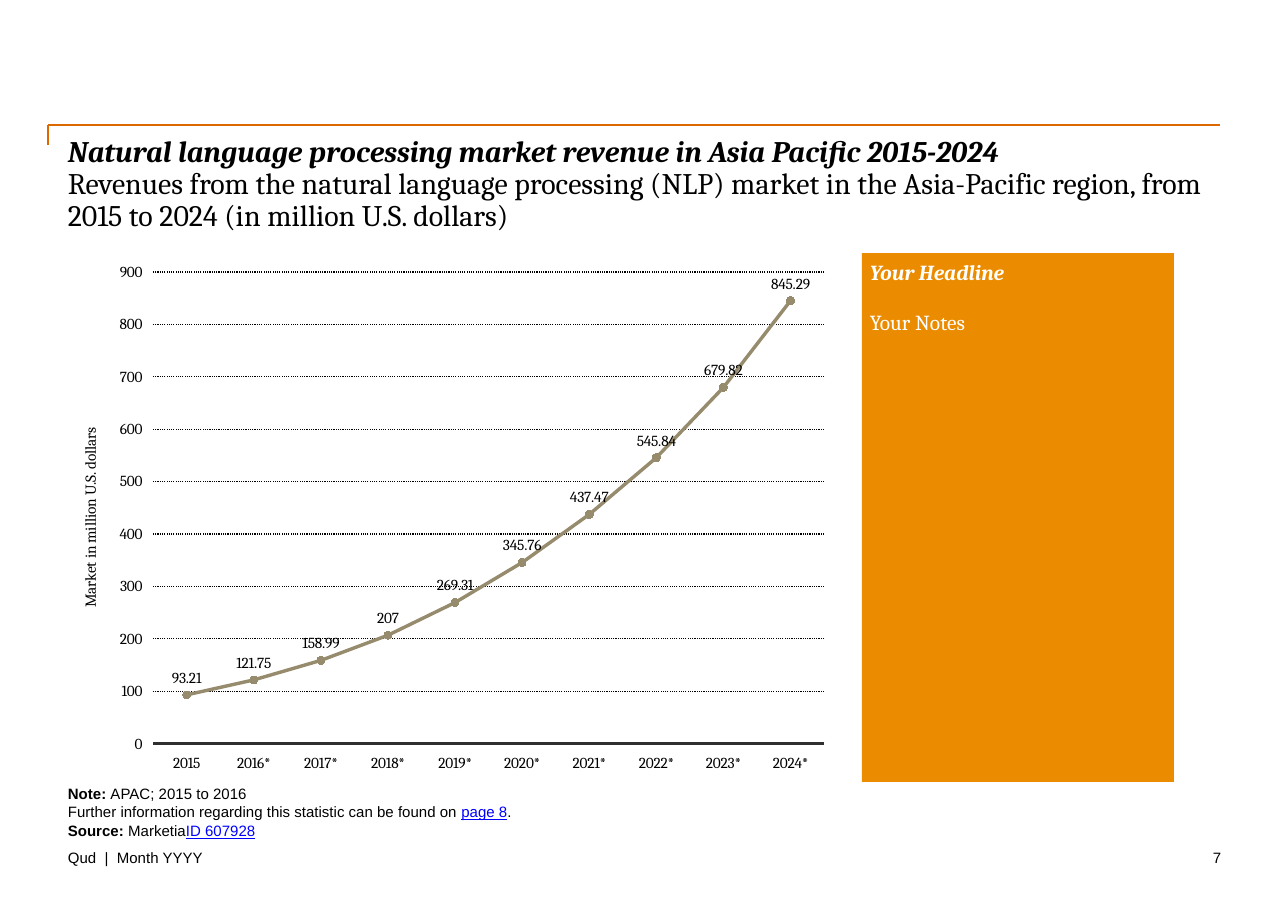
from lxml import etree
from pptx import Presentation
from pptx.chart.data import CategoryChartData
from pptx.dml.color import RGBColor
from pptx.enum.chart import (XL_CHART_TYPE, XL_LABEL_POSITION, XL_MARKER_STYLE,
                             XL_TICK_LABEL_POSITION, XL_TICK_MARK)
from pptx.enum.dml import MSO_LINE
from pptx.enum.shapes import MSO_CONNECTOR, MSO_SHAPE
from pptx.enum.text import MSO_ANCHOR, PP_ALIGN
from pptx.oxml import parse_xml
from pptx.oxml.ns import qn
from pptx.util import Pt

PX = 8298
LINE = XL_CHART_TYPE.LINE_MARKERS
ABOVE = XL_LABEL_POSITION.ABOVE
LOW = XL_TICK_LABEL_POSITION.LOW
NO_TICK = XL_TICK_MARK.NONE
CIRCLE = XL_MARKER_STYLE.CIRCLE
DOT = MSO_LINE.ROUND_DOT
STRAIGHT = MSO_CONNECTOR.STRAIGHT
RECT = MSO_SHAPE.RECTANGLE
TOP, MIDDLE = MSO_ANCHOR.TOP, MSO_ANCHOR.MIDDLE
LEFT, RIGHT = PP_ALIGN.LEFT, PP_ALIGN.RIGHT

BLACK, WHITE, BLUE = "000000", "FFFFFF", "0000FF"
ORANGE, AMBER, TAUPE, DARK = "DC6900", "EB8C00", "968C6D", "2F2F2F"


def color(code):
    return RGBColor.from_string(code)


def style(font, form):
    """Set the font attributes named in form; color is a hex string."""
    for key, value in form.items():
        if key == "color":
            font.color.rgb = color(value)
        else:
            setattr(font, key, value)


deck = Presentation()
deck.slide_width, deck.slide_height = 1288 * PX, 911 * PX
slide = deck.slides.add_slide(deck.slide_layouts[6])
shapes = slide.shapes

# Notes panel
panel = shapes.add_shape(RECT, 862 * PX, 253 * PX, 312 * PX, 529 * PX)
panel.shadow.inherit = False
panel.fill.solid()
panel.fill.fore_color.rgb = color(AMBER)
panel.line.fill.background()

# Texts: box, anchor, alignment, space between paragraphs, font, paragraphs
HEAD = {"bold": True, "italic": True}
BOLD = {"bold": True}
LINK = {"color": BLUE, "underline": True}
title_font = {"name": "Cambria", "size": Pt(19.5), "color": BLACK}
panel_font = {"name": "Cambria", "size": Pt(14), "color": WHITE}
small_font = {"name": "Arial", "size": Pt(9.8), "color": BLACK}

texts = [
    ((57, 129, 1174, 112), MIDDLE, LEFT, 0, title_font, [
        [("Natural language processing market revenue in Asia Pacific 2015-2024", HEAD)],
        [("Revenues from the natural language processing (NLP) market in the "
          "Asia-Pacific region, from 2015 to 2024 (in million U.S. dollars)", {})]]),
    ((859, 257, 318, 530), TOP, LEFT, 17, panel_font, [
        [("Your Headline", HEAD)],
        [("Your Notes", {})]]),
    ((57, 781, 1174, 64), MIDDLE, LEFT, 1.6, small_font, [
        [("Note: ", BOLD), ("APAC; 2015 to 2016", {})],
        [("Further information regarding this statistic can be found on ", {}),
         ("page 8", LINK), (".", {})],
        [("Source: ", BOLD), ("Marketia", {}), ("ID 607928", LINK)]]),
    ((995, 845, 237, 28), MIDDLE, RIGHT, 0, small_font, [[("7", {})]]),
    ((57, 845, 392, 28), MIDDLE, LEFT, 0, small_font, [[("Qud  |  Month YYYY", {})]]),
]
for box, anchor, align, gap, base, paras in texts:
    frame = shapes.add_textbox(*(n * PX for n in box)).text_frame
    frame.word_wrap = True
    frame.vertical_anchor = anchor
    for i, runs in enumerate(paras):
        para = frame.add_paragraph() if i else frame.paragraphs[0]
        para.alignment = align
        para.line_spacing = 0.9
        if i:
            para.space_before = Pt(gap)
        for words, form in runs:
            run = para.add_run()
            run.text = words
            style(run.font, base | form)

# Revenue chart
revenue = [93.21, 121.75, 158.99, 207, 269.31, 345.76, 437.47, 545.84, 679.82, 845.29]
data = CategoryChartData()
data.categories = ["2015"] + [f"{year}*" for year in range(2016, 2025)]
data.add_series("Series 1", revenue)
chart = shapes.add_chart(LINE, 57 * PX, 253 * PX, 782 * PX, 529 * PX, data).chart
chart.has_title = False
chart.has_legend = False
chart_font = {"name": "Cambria", "size": Pt(10), "color": BLACK, "bold": False}
style(chart.font, chart_font)

years, money = chart.category_axis, chart.value_axis
for axis in (years, money):
    axis.major_tick_mark = axis.minor_tick_mark = NO_TICK
    axis.tick_label_position = LOW
    style(axis.tick_labels.font, chart_font)
years.format.line.color.rgb = color(DARK)
years.format.line.width = Pt(2)
money.format.line.fill.background()
money.minimum_scale, money.maximum_scale, money.major_unit = 0, 900, 100
grid = money.major_gridlines.format.line
grid.color.rgb = color(BLACK)
grid.width = Pt(0.75)
grid.dash_style = DOT
label = money.axis_title.text_frame.paragraphs[0].add_run()
label.text = "Market in million U.S. dollars"
style(label.font, chart_font)

plot = chart.plots[0]
plot.vary_by_categories = False
curve = plot.series[0]
curve.smooth = False
curve.format.line.color.rgb = color(TAUPE)
curve.format.line.width = Pt(2.25)
curve.marker.style = CIRCLE
curve.marker.size = 5
curve.marker.format.fill.solid()
curve.marker.format.fill.fore_color.rgb = color(TAUPE)
curve.marker.format.line.color.rgb = color(TAUPE)
labels = curve.data_labels
labels.show_value = True
labels.position = ABOVE
style(labels.font, chart_font)

area = chart.plots[0]._element.getparent()
for old in area.findall(qn("c:layout")):
    area.remove(old)
layout = parse_xml(
    '<c:layout xmlns:c="http://schemas.openxmlformats.org/drawingml/2006/chart">'
    '<c:manualLayout><c:layoutTarget val="inner"/>'
    '<c:xMode val="edge"/><c:yMode val="edge"/></c:manualLayout></c:layout>')
for key, size in {"x": 96 / 782, "y": 19 / 529, "w": 671 / 782, "h": 472 / 529}.items():
    etree.SubElement(layout[0], qn(f"c:{key}"), val=f"{size:.3f}")
area.insert(0, layout)

# Corner rule above the title
for right, bottom in ((1220, 125), (48, 145)):
    rule = shapes.add_connector(STRAIGHT, 48 * PX, 125 * PX, right * PX, bottom * PX)
    rule.line.color.rgb = color(ORANGE)
    rule.line.width = Pt(1)
    etree.SubElement(rule._element.spPr, qn("a:effectLst"))

deck.save("out.pptx")
